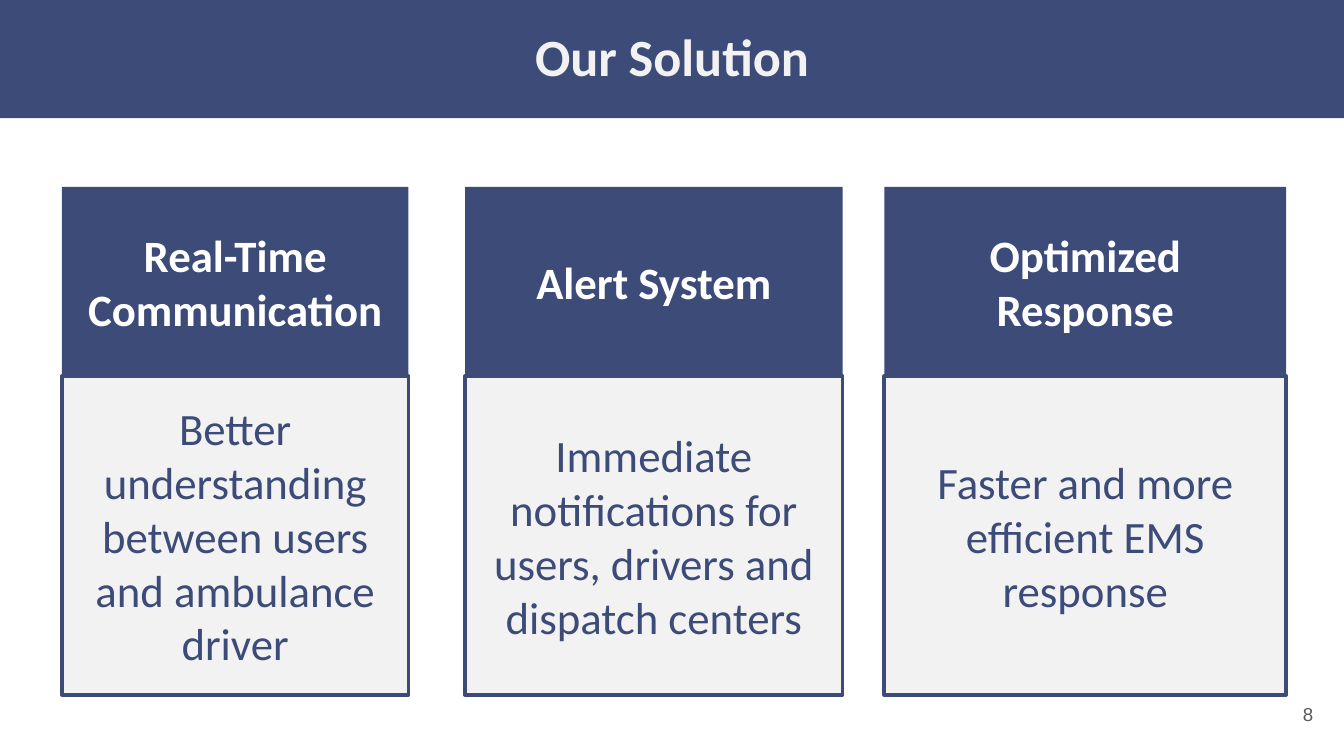
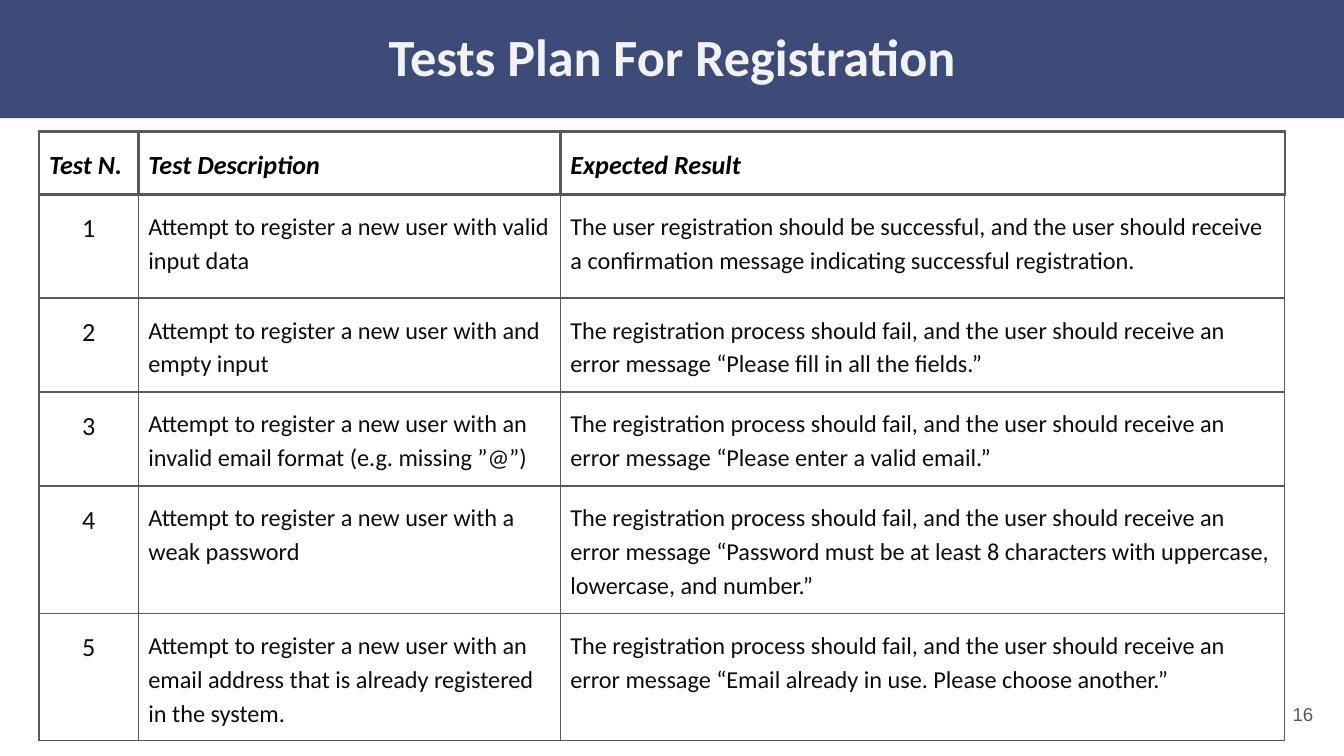
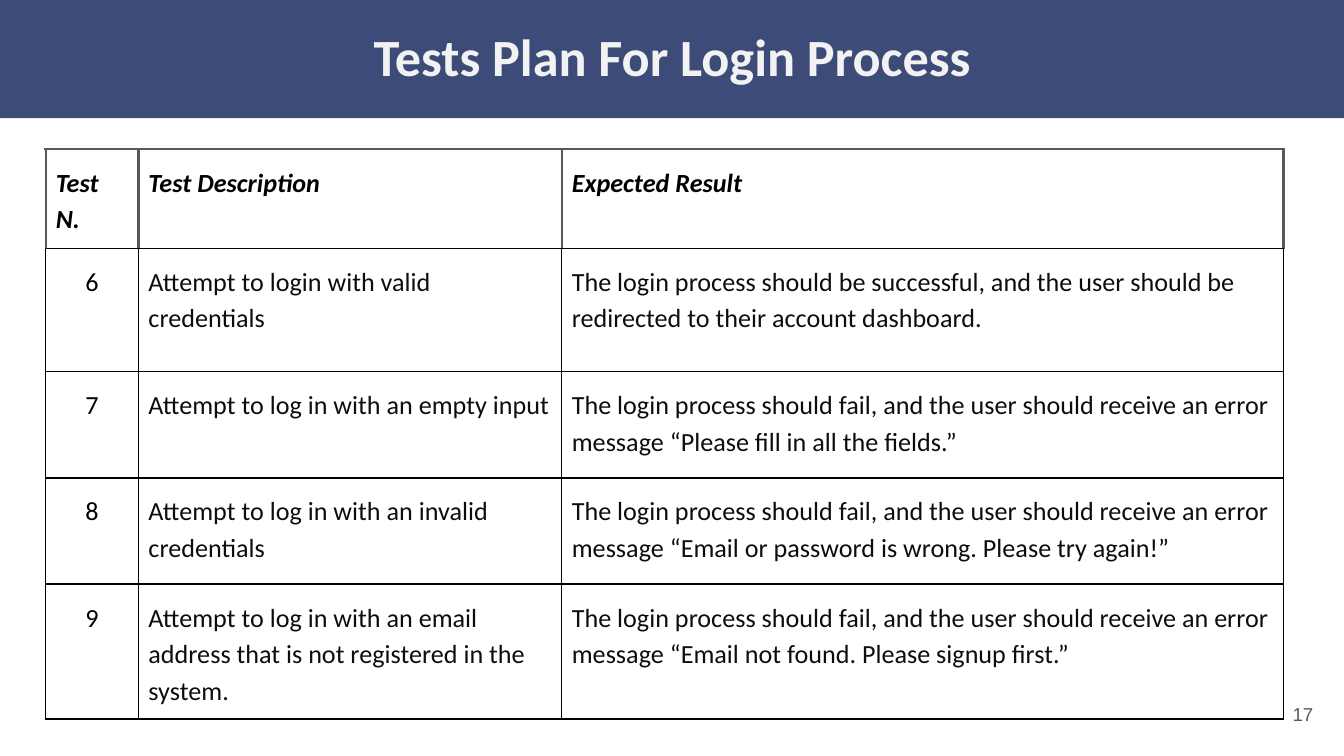
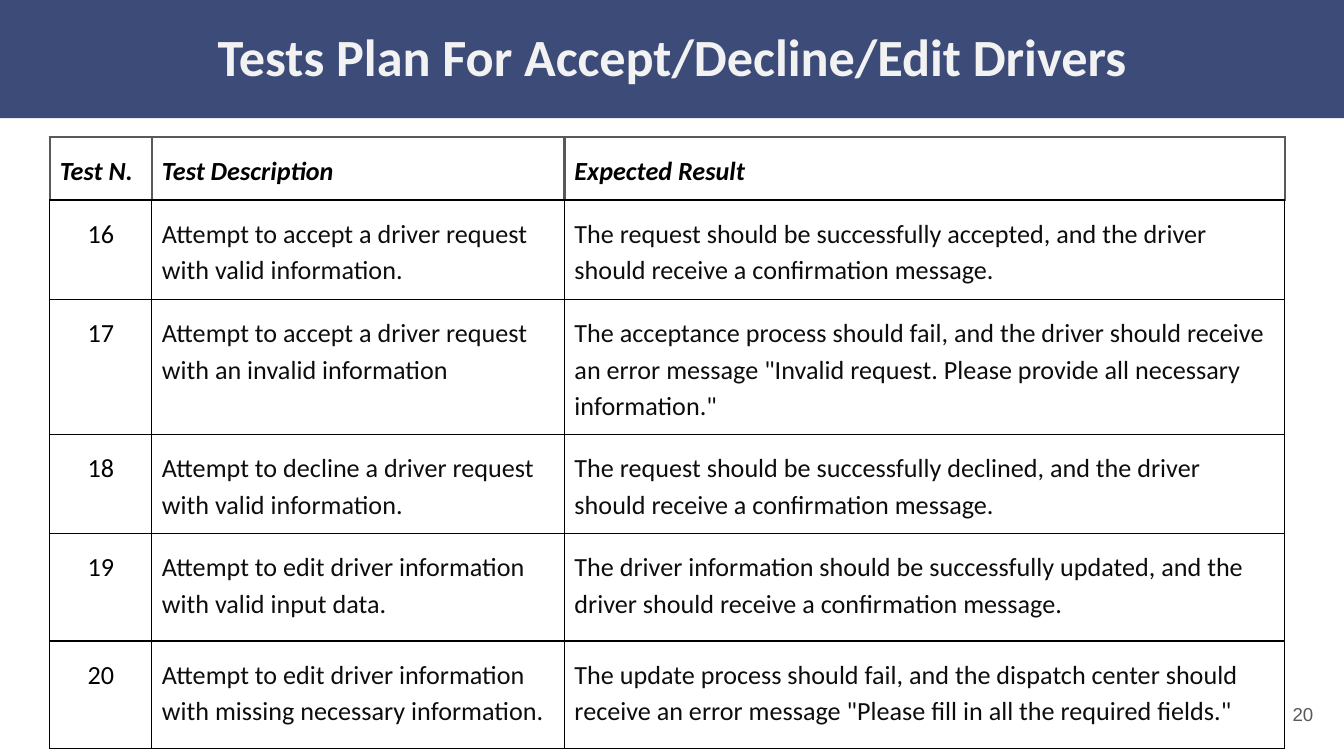
from pptx import Presentation
from pptx import util as u
from pptx.dml.color import RGBColor
from pptx.enum import shapes, text
from pptx.oxml import parse_xml
from pptx.oxml import ns

NAVY = RGBColor(0x3C, 0x4B, 0x78)
PALE = RGBColor(0xF2, 0xF2, 0xF2)
WHITE = RGBColor(0xFF, 0xFF, 0xFF)
BLACK = RGBColor(0x00, 0x00, 0x00)
INK = RGBColor(0x0D, 0x0D, 0x0D)
GREY = RGBColor(0x59, 0x59, 0x59)

# Grid: 100 columns by 56.25 rows of 0.1 inch
WIDTH, HEIGHT = u.Inches(10), u.Inches(5.625)
COLS, ROWS = 100, 56.25
CENTER, RIGHT = text.PP_ALIGN.CENTER, text.PP_ALIGN.RIGHT

# Text formats
TITLE = dict(name="Calibri", size=u.Pt(28), bold=True, color=PALE)
PAGE = dict(name="Arial", size=u.Pt(10), color=GREY)
CARD_HEAD = dict(name="Calibri", size=u.Pt(24), bold=True, color=WHITE)
CARD_BODY = dict(name="Calibri", size=u.Pt(24), color=NAVY)
TABLE_HEAD = dict(name="Calibri", size=u.Pt(14), bold=True, italic=True, color=BLACK)
TABLE_TEXT = dict(name="Calibri", size=u.Pt(14), color=INK)

# Border pens: colour and width in points
HEAVY, THIN_GREY, THIN_BLACK = (GREY, 1.5), (GREY, 0.75), (BLACK, 0.75)
HEADINGS = ("Test N.", "Test Description", "Expected Result")


def across(columns):
    return round(columns * WIDTH / COLS)


def down(rows):
    return round(rows * HEIGHT / ROWS)


class Deck:
    """Holds the shared style and the slide being built."""

    def __init__(self):
        self.prs = Presentation()
        self.prs.slide_width, self.prs.slide_height = WIDTH, HEIGHT
        self.slide = None

    def new_slide(self, title, page):
        self.slide = self.prs.slides.add_slide(self.prs.slide_layouts[6])
        self.panel(self.slide.shapes, (0, 0, COLS, 8.8), title, TITLE, NAVY,
                   inset=1, spacing=0.9)
        number = self.slide.shapes.add_textbox(*self.area(92.7, 51, 6, 4.3))
        self.add_words(number.text_frame, str(page), PAGE, RIGHT)
        self.frame(number.text_frame, inset=1)

    def area(self, left, top, width, height):
        return across(left), down(top), across(width), down(height)

    def frame(self, frame, inset):
        settings = dict(word_wrap=True, vertical_anchor=text.MSO_ANCHOR.MIDDLE,
                        margin_left=across(1), margin_right=across(1),
                        margin_top=down(inset), margin_bottom=down(inset))
        for key, value in settings.items():
            setattr(frame, key, value)

    def add_words(self, frame, words, style, align=None, spacing=None):
        paragraph = frame.paragraphs[0]
        paragraph.alignment, paragraph.line_spacing = align, spacing
        run = paragraph.add_run()
        run.text = words
        for key, value in style.items():
            if key == "color":
                run.font.color.rgb = value
            else:
                setattr(run.font, key, value)

    def panel(self, parent, place, words, style, fill, outline=None, inset=0.5, spacing=None):
        panel = parent.add_shape(shapes.MSO_SHAPE.RECTANGLE, *self.area(*place))
        panel.shadow.inherit = False
        panel.fill.solid()
        panel.fill.fore_color.rgb = fill
        if outline:
            panel.line.color.rgb = outline
            panel.line.width = u.Pt(2)
        else:
            panel.line.fill.background()
        self.frame(panel.text_frame, inset)
        self.add_words(panel.text_frame, words, style, CENTER, spacing)

    def card(self, left, width, heading, body):
        group = self.slide.shapes.add_group_shape()
        self.panel(group.shapes, (left, 13.9, width, 14.1), heading, CARD_HEAD, NAVY)
        self.panel(group.shapes, (left, 28, width, 23.7), body, CARD_BODY, PALE, NAVY)

    def borders(self, cell, pens):
        props = cell._tc.get_or_add_tcPr()
        for place, (side, (color, points)) in enumerate(zip("LRTB", pens)):
            props.insert(place, parse_xml(
                f'<a:ln{side} {ns.nsdecls("a")} w="{u.Pt(points)}"><a:solidFill>'
                f'<a:srgbClr val="{color}"/></a:solidFill></a:ln{side}>'))

    def test_table(self, left, top, widths, heights, tests, first, pen,
                   divider, number_color, size=14):
        """Draws numbered tests; divider is the pen below the headings."""
        table = self.slide.shapes.add_table(
            len(heights), len(widths),
            *self.area(left, top, sum(widths), sum(heights))).table
        table.first_row = table.horz_banding = False
        for column, width in zip(table.columns, widths):
            column.width = across(width)
        for row, height in zip(table.rows, heights):
            row.height = down(height)

        number_style = {**TABLE_TEXT, "color": number_color}
        test_style = {**TABLE_TEXT, "size": u.Pt(size)}
        lines = [HEADINGS] + [(str(first + i), *test) for i, test in enumerate(tests)]
        for r, line in enumerate(lines):
            for c, words in enumerate(line):
                cell = table.cell(r, c)
                cell.fill.background()
                cell.margin_left = cell.margin_right = across(0.75)
                cell.margin_top = cell.margin_bottom = down(1)
                if r == 0:
                    style, pens = TABLE_HEAD, (HEAVY, HEAVY, HEAVY, divider)
                else:
                    style = test_style if c else number_style
                    pens = (pen, pen, divider if r == 1 else pen, pen)
                align = CENTER if r and c == 0 else None
                self.add_words(cell.text_frame, words, style, align, 1.15)
                self.borders(cell, pens)


def main():
    deck = Deck()

    # Solution cards
    deck.new_slide("Our Solution", 8)
    for card in (
        (65.8, 29.9, "Optimized Response", "Faster and more efficient EMS response"),
        (34.6, 28.1, "Alert System",
         "Immediate notifications for users, drivers and dispatch centers"),
        (4.6, 25.8, "Real-Time Communication",
         "Better understanding between users and ambulance driver"),
    ):
        deck.card(*card)

    # Registration tests
    fails = "The registration process should fail, and the user should receive an error message "
    registration = [
        ("Attempt to register a new user with valid input data",
         "The user registration should be successful, and the user should receive "
         "a confirmation message indicating successful registration."),
        ("Attempt to register a new user with and empty input",
         fails + "“Please fill in all the fields.”"),
        ("Attempt to register a new user with an invalid email format (e.g. missing ”@”)",
         fails + "“Please enter a valid email.”"),
        ("Attempt to register a new user with a weak password",
         fails + "“Password must be at least 8 characters with uppercase, lowercase, and number.”"),
        ("Attempt to register a new user with an email address that is already "
         "registered in the system.",
         fails + "“Email already in use. Please choose another.”"),
    ]
    deck.new_slide("Tests Plan For Registration", 16)
    deck.test_table(2.9, 9.8, (7.4, 31.4, 53.9), (4.3, 7.7, 6.8, 6.8, 9.4, 9.4),
                    registration, 1, THIN_GREY, HEAVY, INK, size=13)

    # Login tests
    fails = "The login process should fail, and the user should receive an error message "
    login = [
        ("Attempt to login with valid credentials",
         "The login process should be successful, and the user should be "
         "redirected to their account dashboard."),
        ("Attempt to log in with an empty input",
         fails + "“Please fill in all the fields.”"),
        ("Attempt to log in with an invalid credentials",
         fails + "“Email or password is wrong. Please try again!”"),
        ("Attempt to log in with an email address that is not registered in the system.",
         fails + "“Email not found. Please signup first.”"),
    ]
    deck.new_slide("Tests Plan For Login Process", 17)
    deck.test_table(3.4, 11.1, (6.9, 31.5, 53.7), (5.1, 9.2, 7.9, 7.9, 9.9),
                    login, 6, THIN_BLACK, THIN_BLACK, BLACK)

    # Driver request tests
    confirmed = "and the driver should receive a confirmation message."
    drivers = [
        ("Attempt to accept a driver request with valid information.",
         "The request should be successfully accepted, " + confirmed),
        ("Attempt to accept a driver request with an invalid information",
         "The acceptance process should fail, and the driver should receive an error "
         'message "Invalid request. Please provide all necessary information."'),
        ("Attempt to decline a driver request with valid information.",
         "The request should be successfully declined, " + confirmed),
        ("Attempt to edit driver information with valid input data.",
         "The driver information should be successfully updated, " + confirmed),
        ("Attempt to edit driver information with missing necessary information.",
         "The update process should fail, and the dispatch center should receive an "
         'error message "Please fill in all the required fields."'),
    ]
    deck.new_slide("Tests Plan For Accept/Decline/Edit Drivers", 20)
    deck.test_table(3.7, 10.2, (7.6, 30.7, 53.6), (4.2, 7.4, 9.6, 6.9, 8, 8),
                    drivers, 16, THIN_BLACK, THIN_BLACK, BLACK)

    deck.prs.save("out.pptx")


if __name__ == "__main__":
    main()
